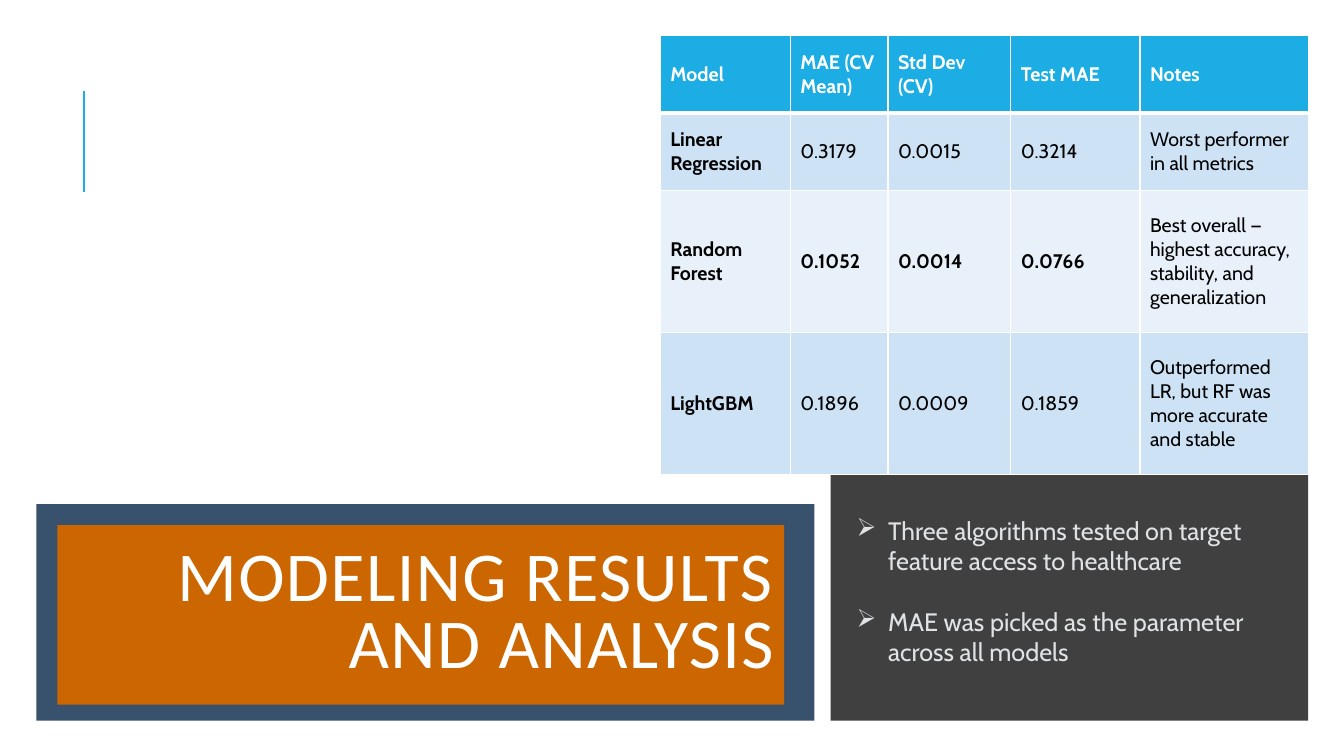
from lxml.etree import SubElement
from pptx import Presentation
from pptx.dml.color import RGBColor
from pptx.enum.shapes import MSO_CONNECTOR, MSO_SHAPE
from pptx.enum.text import MSO_ANCHOR, PP_ALIGN
from pptx.oxml.ns import qn
from pptx.util import Pt

# Content
TITLE = "MODELING RESULTS AND ANALYSIS"
BULLETS = [
    "Three algorithms tested on target feature access to healthcare",
    "MAE was picked as the parameter across all models",
]
RESULTS = [
    ["Model", "MAE (CV Mean)", "Std Dev (CV)", "Test MAE", "Notes"],
    ["Linear Regression", "0.3179", "0.0015", "0.3214",
     "Worst performer in all metrics"],
    ["Random Forest", "0.1052", "0.0014", "0.0766",
     "Best overall — highest accuracy, stability, and generalization"],
    ["LightGBM", "0.1896", "0.0009", "0.1859",
     "Outperformed LR, but RF was more accurate and stable"],
]
BEST_ROW = 2
NOTES_COL = 4

# Layout and colours
COL_WIDTHS = [92.9, 69.8, 87.8, 92.2, 120.2]
ROW_HEIGHTS = [55.4, 55.4, 101.5, 101.5]
TABLE_LEFT, TOP, BOTTOM = 471.6, 25.2, 514.8
PANEL_LEFT = 593.3
RIGHT = TABLE_LEFT + sum(COL_WIDTHS)
FRAME = (25.9, 360, 555.8, BOTTOM - 360)
TITLE_BOX = (41, 375.1, 519.1, 128.2)
WHITE, BLUE = "FFFFFF", "1CADE4"
BANDS = ["E8F1FA", "CDE3F5"]


def rgb(value):
    return RGBColor.from_string(value)


def style(p, font, size, color, bold=False):
    for r in p.runs:
        r.font.name, r.font.size, r.font.bold = font, Pt(size), bold
        r.font.color.rgb = rgb(color)


def add_rect(box, color):
    sp = s.shapes.add_shape(MSO_SHAPE.RECTANGLE, *map(Pt, box))
    sp.shadow.inherit = False
    sp.fill.solid()
    sp.fill.fore_color.rgb = rgb(color)
    sp.line.fill.background()
    return sp


def set_borders(cell, widths):
    tcPr = cell._tc.get_or_add_tcPr()
    for i, (side, width) in enumerate(widths.items()):
        ln = SubElement(tcPr, qn("a:" + side), w=str(Pt(width)))
        fill = SubElement(ln, qn("a:solidFill"))
        SubElement(fill, qn("a:srgbClr"), val=WHITE)
        tcPr.remove(ln)
        tcPr.insert(i, ln)  # borders come before the fill


prs = Presentation()
prs.slide_width, prs.slide_height = Pt(960), Pt(540)
s = prs.slides.add_slide(prs.slide_layouts[6])

# Accent line
line = s.shapes.add_connector(MSO_CONNECTOR.STRAIGHT, Pt(60), Pt(136.8), Pt(60), Pt(64.8))
line.line.color.rgb = rgb(BLUE)
line.line.width = Pt(1.5)
SubElement(line._element.spPr, qn("a:effectLst"))

# Framed title
add_rect(FRAME, "38516D")
tf = add_rect(TITLE_BOX, "CC6600").text_frame
tf.text = TITLE
tf.word_wrap = True
tf.vertical_anchor = MSO_ANCHOR.MIDDLE
p = tf.paragraphs[0]
p.alignment = PP_ALIGN.RIGHT
p.line_spacing = 0.8
style(p, "Calibri", 50, WHITE)
p.runs[0].font._element.set("spc", "100")

# Dark panel behind the table and bullets
add_rect((PANEL_LEFT, TOP, RIGHT - PANEL_LEFT, BOTTOM - TOP), "404040")

# Results table
table = s.shapes.add_table(
    len(RESULTS), len(COL_WIDTHS), Pt(TABLE_LEFT), Pt(TOP),
    Pt(sum(COL_WIDTHS)), Pt(sum(ROW_HEIGHTS))).table
for col, width in zip(table.columns, COL_WIDTHS):
    col.width = Pt(width)
for row, height in zip(table.rows, ROW_HEIGHTS):
    row.height = Pt(height)
for i, texts in enumerate(RESULTS):
    for j, text in enumerate(texts):
        header = i == 0
        cell = table.cell(i, j)
        cell.text = text
        cell.vertical_anchor = MSO_ANCHOR.MIDDLE
        cell.fill.solid()
        cell.fill.fore_color.rgb = rgb(BLUE if header else BANDS[i % 2])
        bold = header or j == 0 or (i == BEST_ROW and j != NOTES_COL)
        style(cell.text_frame.paragraphs[0], "Cabin", 14,
              WHITE if header else "000000", bold)
        set_borders(cell, {"lnL": 1, "lnR": 1, "lnT": 3 if i == 1 else 1,
                           "lnB": 3 if header else 1})

# Bullets
tf = s.shapes.add_textbox(Pt(604.8), Pt(364.3), Pt(313.9), Pt(116.6)).text_frame
tf.word_wrap = True
for i, text in enumerate(BULLETS):
    p = tf.add_paragraph() if i else tf.paragraphs[0]
    p.text = text
    pPr = p._p.get_or_add_pPr()
    pPr.set("marL", str(Pt(22.5)))
    pPr.set("indent", str(-Pt(22.5)))
    SubElement(pPr, qn("a:buChar"), char="➢")
    if i:
        p.space_before = Pt(22)
    style(p, "Cabin", 18, "DFE3E5")

prs.save("out.pptx")
